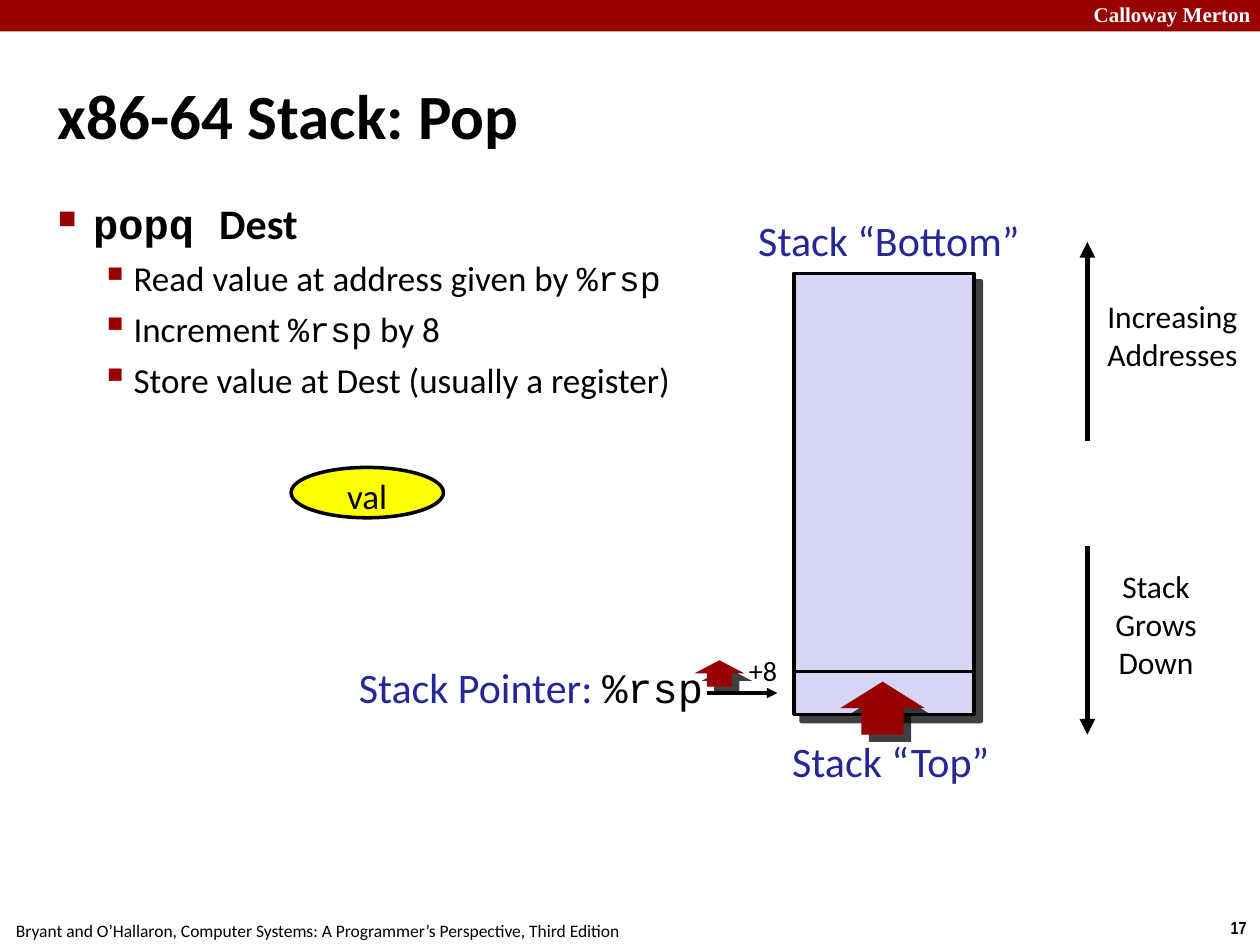
from pptx import Presentation
from pptx.dml.color import RGBColor
from pptx.enum.shapes import MSO_CONNECTOR, MSO_SHAPE
from pptx.enum.text import MSO_ANCHOR, PP_ALIGN
from pptx.oxml import parse_xml
from pptx.oxml.ns import nsdecls, qn
from pptx.util import Inches, Pt

BLACK = RGBColor(0, 0, 0)
WHITE = RGBColor(0xFF, 0xFF, 0xFF)
CRIMSON = RGBColor(0x99, 0, 0)
ARROW_RED = RGBColor(0x98, 0, 0x02)
INDIGO = RGBColor(0x26, 0x26, 0x99)
LAVENDER = RGBColor(0xD6, 0xD6, 0xF4)
YELLOW = RGBColor(0xFF, 0xFF, 0)

SANS, MONO = "Calibri", "Courier New"
LEFT, CENTER, RIGHT = PP_ALIGN.LEFT, PP_ALIGN.CENTER, PP_ALIGN.RIGHT
TOP, MIDDLE = MSO_ANCHOR.TOP, MSO_ANCHOR.MIDDLE
RECT, OVAL, UP_ARROW = MSO_SHAPE.RECTANGLE, MSO_SHAPE.OVAL, MSO_SHAPE.UP_ARROW
STRAIGHT = MSO_CONNECTOR.STRAIGHT


def add_run(p, text, size, font=SANS, color=BLACK, bold=False):
    r = p.add_run()
    r.text = text
    r.font.size, r.font.name, r.font.bold = Pt(size), font, bold
    r.font.color.rgb = color


def set_frame(tf, inset_x, inset_y, wrap=True, anchor=TOP):
    tf.margin_left = tf.margin_right = Inches(inset_x)
    tf.margin_top = tf.margin_bottom = Inches(inset_y)
    tf.word_wrap = wrap
    tf.vertical_anchor = anchor


def add_label(s, box, lines, size, font=SANS, color=BLACK, bold=False,
              align=CENTER, inset=(0, 0), wrap=False, fill=None):
    """Text box with one paragraph per line, all in one style."""
    sp = s.shapes.add_textbox(*map(Inches, box))
    if fill is not None:
        sp.fill.solid()
        sp.fill.fore_color.rgb = fill
    tf = sp.text_frame
    set_frame(tf, *inset, wrap=wrap)
    for i, line in enumerate(lines):
        p = tf.add_paragraph() if i else tf.paragraphs[0]
        p.alignment = align
        add_run(p, line, size, font, color, bold)
    return sp


def add_block(s, kind, box, fill, outlined=True, shadow=False):
    sp = s.shapes.add_shape(kind, *map(Inches, box))
    sp.shadow.inherit = False
    sp.fill.solid()
    sp.fill.fore_color.rgb = fill
    if outlined:
        sp.line.color.rgb = BLACK
        sp.line.width = Pt(2)
    else:
        sp.line.fill.background()
    if shadow:
        effects = sp._element.spPr.find(qn("a:effectLst"))
        effects.append(parse_xml(
            f'<a:outerShdw {nsdecls("a")} blurRad="0" dist="{Pt(6)}" dir="2700000"'
            ' algn="ctr" rotWithShape="0"><a:srgbClr val="000000">'
            '<a:alpha val="75000"/></a:srgbClr></a:outerShdw>'))
    return sp


def add_line(s, start, end, width, arrow=True):
    line = s.shapes.add_connector(STRAIGHT, *map(Inches, start + end))
    line.line.color.rgb = BLACK
    line.line.width = Pt(width)
    if arrow:
        line.line._get_or_add_ln().append(
            parse_xml(f'<a:tailEnd {nsdecls("a")} type="triangle"/>'))
    line._element.spPr.append(parse_xml(f'<a:effectLst {nsdecls("a")}/>'))


def set_bullet(p, char, percent, margin, hang):
    pPr = p._p.get_or_add_pPr()
    pPr.set("marL", str(Inches(margin)))
    pPr.set("indent", str(-Inches(hang)))
    for xml in (f'<a:buClr {nsdecls("a")}><a:srgbClr val="{CRIMSON}"/></a:buClr>',
                f'<a:buSzPct {nsdecls("a")} val="{percent * 1000}"/>',
                f'<a:buChar {nsdecls("a")} char="{char}"/>'):
        pPr.append(parse_xml(xml))


def add_instruction_text(s):
    sp = s.shapes.add_textbox(Inches(0.42), Inches(1.53), Inches(9.17), Inches(5.94))
    tf = sp.text_frame
    set_frame(tf, 0.04, 0.04)
    p = tf.paragraphs[0]
    p.space_before = Pt(6)
    set_bullet(p, "■", 60, 0.28, 0.28)
    add_run(p, "popq ", 24, MONO, bold=True)
    add_run(p, "Dest", 24, bold=True)

    steps = [
        [("Read value at address given by ", SANS), ("%rsp", MONO)],
        [("Increment ", SANS), ("%rsp", MONO), (" by 8", SANS)],
        [("Store value at Dest (usually a register)", SANS)],
    ]
    for step in steps:
        p = tf.add_paragraph()
        p.level = 1
        p.space_before = Pt(5)
        set_bullet(p, "▪", 110, 0.6, 0.26)
        for text, font in step:
            add_run(p, text, 20, font)


def add_banner_and_footer(s):
    add_block(s, RECT, (0, 0, 10, 0.25), CRIMSON, outlined=False)
    add_label(s, (8.64, -0.03, 1.44, 0.28), ["Calloway Merton"], 12,
              "Times New Roman", WHITE, True, LEFT, (0.04, 0.04))
    add_label(s, (-0.02, 7.25, 5.08, 0.27),
              ["Bryant and O’Hallaron, Computer Systems: A Programmer’s "
               "Perspective, Third Edition"], 10, inset=(0.1, 0.05))
    add_label(s, (9.66, 7.23, 0.34, 0.27), ["17"], 10, "Arial Narrow",
              bold=True, inset=(0.1, 0.05))


def add_stack(s):
    # Stack body with its top element
    add_block(s, RECT, (6.3, 2.17, 1.43, 3.5), LAVENDER, shadow=True)
    add_block(s, RECT, (6.3, 5.33, 1.43, 0.34), LAVENDER)
    add_label(s, (5.94, 1.7, 2.23, 0.49), ["Stack “Bottom”"], 24, color=INDIGO)
    add_label(s, (6.22, 5.84, 1.7, 0.49), ["Stack “Top”"], 24, color=INDIGO)

    # Stack pointer and its increment
    add_line(s, (5.61, 5.5), (6.17, 5.5), 2)
    pointer = add_label(s, (2.8, 5.25, 2.78, 0.4), ["Stack Pointer: "], 24,
                        color=INDIGO, align=RIGHT)
    add_run(pointer.text_frame.paragraphs[0], "%rsp", 24, MONO)
    add_label(s, (5.9, 5.15, 0.31, 0.35), ["+8"], 16, inset=(0.04, 0.04))

    # Upward moves of the pointer and of the stack top
    for box in ((5.51, 5.24, 0.4, 0.21), (6.67, 5.41, 0.67, 0.42)):
        add_block(s, UP_ARROW, box, ARROW_RED, outlined=False, shadow=True)

    # Popped value
    val = add_block(s, OVAL, (2.31, 3.71, 1.21, 0.4), YELLOW)
    set_frame(val.text_frame, 0.1, 0)
    p = val.text_frame.paragraphs[0]
    p.alignment = CENTER
    add_run(p, "val", 20)


def add_directions(s):
    add_line(s, (8.63, 3.5), (8.63, 1.92), 3)
    add_label(s, (8.74, 2.36, 1.13, 0.69), ["Increasing", "Addresses"], 18, fill=WHITE)
    add_line(s, (8.63, 4.33), (8.63, 5.83), 3)
    add_label(s, (8.73, 4.5, 0.89, 1), ["Stack Grows", "Down"], 18, wrap=True, fill=WHITE)


def add_title(s, text):
    title = s.shapes.title
    title.left, title.top = Inches(0.42), Inches(0.28)
    title.width, title.height = Inches(9.17), Inches(1.25)
    set_frame(title.text_frame, 0.04, 0.04, anchor=MIDDLE)
    p = title.text_frame.paragraphs[0]
    p.alignment = LEFT
    add_run(p, text, 36, bold=True)


def main():
    prs = Presentation()
    prs.slide_width, prs.slide_height = Inches(10), Inches(7.5)
    s = prs.slides.add_slide(prs.slide_layouts[5])
    add_banner_and_footer(s)
    add_title(s, "x86-64 Stack: Pop")
    add_instruction_text(s)
    add_stack(s)
    add_directions(s)
    prs.save("out.pptx")


if __name__ == "__main__":
    main()
